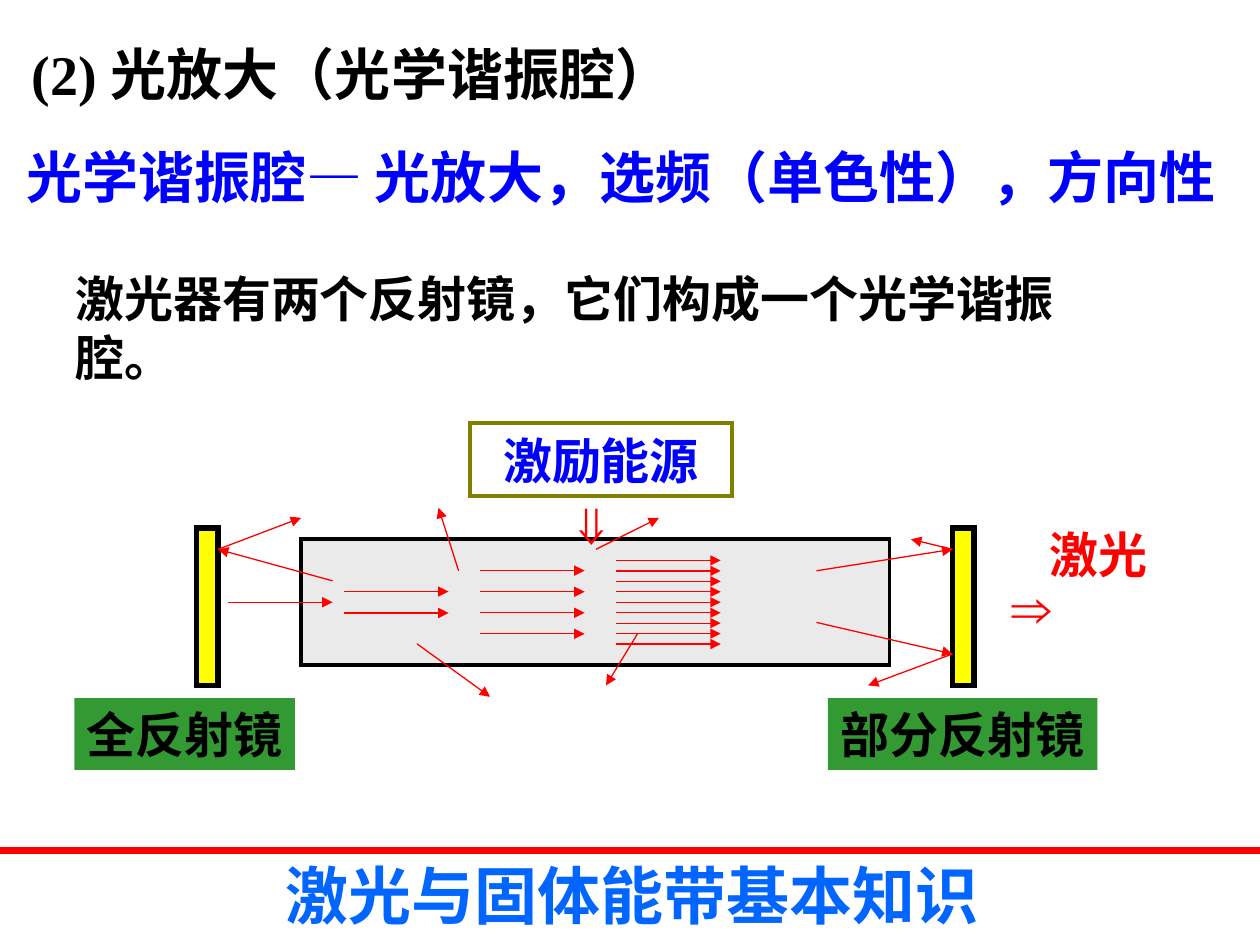
from pptx import Presentation
from pptx.dml.color import RGBColor
from pptx.enum import shapes, text
from pptx.oxml.ns import qn
from pptx.util import Inches, Pt
from lxml import etree

THEME = {
    "black": "000000", "red": "FF0000", "blue": "0000FF", "sky": "0066FF",
    "yellow": "FFFF00", "green": "339933", "gray": "EAEAEA", "olive": "808000",
    "body": 28, "head": 32, "foot": 36,
    "font": "Times New Roman", "symbol": "Arial",
}

TITLE = ("(2) 光放大（光学谐振腔）", (0.15, 0.26, 5.8, 0.64))

# words, box, size, colour, font, centred, middle, wrap
TEXTS = [
    ("激光与固体能带基本知识", (2.14, 6.75, 5.75, 0.5),
     "foot", "sky", "font", True, False, True),
    ("光学谐振腔— 光放大，选频（单色性），方向性", (0.11, 1.08, 9.77, 0.64),
     "head", "blue", "font", False, False, False),
    ("激光器有两个反射镜，它们构成一个光学谐振腔。", (0.5, 2.08, 8.3, 1.03),
     "body", "black", "font", False, False, True),
    ("⇓", (4.46, 3.83, 0.47, 0.64), "head", "red", "symbol", True, True, False),
    ("⇒", (7.91, 4.49, 0.55, 0.64), "head", "red", "symbol", True, True, False),
    ("激光", (8.2, 4.11, 1.03, 0.57), "body", "red", "font", True, True, False),
]

# box, fill, line colour, line width
MIRRORS = [((x, 4.19, 0.17, 1.25), "yellow", "black", 3) for x in (1.56, 7.56)]
CAVITY = ((2.39, 4.28, 4.67, 1), "gray", "black", 2.25)

# box, fill, line colour, line width, words, text colour
LABELS = [
    ((3.73, 3.36, 2.08, 0.58), None, "olive", 2.25, "激励能源", "blue"),
    ((0.59, 5.54, 1.75, 0.57), "green", None, 0, "全反射镜", "black"),
    ((6.57, 5.54, 2.14, 0.57), "green", None, 0, "部分反射镜", "black"),
]

# left end, number of rays, gap between rays
BEAMS = [(1.81, 1, 0), (2.73, 2, 0.17), (3.81, 4, 0.167), (4.89, 9, 0.083)]
AXIS, REACH = 4.78, 0.83

# each path is a chain of points, with an arrow on every leg
PATHS = [
    [(2.64, 4.61), (1.73, 4.36), (2.39, 4.11)],
    [(3.64, 4.53), (3.48, 4.03)],
    [(3.31, 5.11), (3.89, 5.53)],
    [(4.73, 4.36), (5.23, 4.11)],
    [(5.06, 5.03), (4.81, 5.44)],
    [(6.48, 4.53), (7.56, 4.36), (7.23, 4.28)],
    [(6.48, 4.94), (7.56, 5.19), (6.89, 5.44)],
]


def color(name):
    return RGBColor.from_string(THEME[name])


def place(box):
    return [Inches(v) for v in box]


def write(shape, words, size, ink, font="font", center=True, middle=True,
          wrap=False):
    frame = shape.text_frame
    frame.text = words
    frame.word_wrap = wrap
    frame.auto_size = text.MSO_AUTO_SIZE.NONE
    frame.vertical_anchor = (text.MSO_ANCHOR.MIDDLE if middle
                             else text.MSO_ANCHOR.TOP)
    para = frame.paragraphs[0]
    para.alignment = text.PP_ALIGN.CENTER if center else text.PP_ALIGN.LEFT
    face = para.runs[0].font
    face.name, face.size, face.bold = THEME[font], Pt(THEME[size]), True
    face.color.rgb = color(ink)


def block(slide, box, fill, edge, width):
    rect = slide.shapes.add_shape(shapes.MSO_SHAPE.RECTANGLE, *place(box))
    rect.shadow.inherit = False
    if fill:
        rect.fill.solid()
        rect.fill.fore_color.rgb = color(fill)
    else:
        rect.fill.background()
    if edge:
        rect.line.color.rgb = color(edge)
        rect.line.width = Pt(width)
        outline = rect._element.spPr.find(qn("a:ln"))
        etree.SubElement(outline, qn("a:miter"), lim="800000")
    else:
        rect.line.fill.background()
    return rect


def rule(slide, start, end, width, arrow=False):
    line = slide.shapes.add_connector(shapes.MSO_CONNECTOR.STRAIGHT,
                                      *place(start + end))
    line.line.color.rgb = color("red")
    line.line.width = Pt(width)
    props = line._element.spPr
    if arrow:
        etree.SubElement(props.find(qn("a:ln")), qn("a:tailEnd"), type="triangle")
    etree.SubElement(props, qn("a:effectLst"))


def main():
    deck = Presentation()
    deck.slide_width, deck.slide_height = Inches(10), Inches(7.5)
    slide = deck.slides.add_slide(deck.slide_layouts[5])

    words, box = TITLE
    title = slide.shapes.title
    title.left, title.top, title.width, title.height = place(box)
    write(title, words, "head", "black", center=False, middle=False, wrap=True)

    rule(slide, (0, 6.75), (10, 6.75), 4.5)
    for part in MIRRORS + [CAVITY]:
        block(slide, *part)

    for left, count, gap in BEAMS:
        for i in range(count):
            y = AXIS + (i - (count - 1) / 2) * gap
            rule(slide, (left, y), (left + REACH, y), 0.75, True)
    for path in PATHS:
        for start, end in zip(path, path[1:]):
            rule(slide, start, end, 0.75, True)

    for box, fill, edge, width, words, ink in LABELS:
        write(block(slide, box, fill, edge, width), words, "body", ink)
    for words, box, *style in TEXTS:
        write(slide.shapes.add_textbox(*place(box)), words, *style)

    deck.save("out.pptx")


if __name__ == "__main__":
    main()
